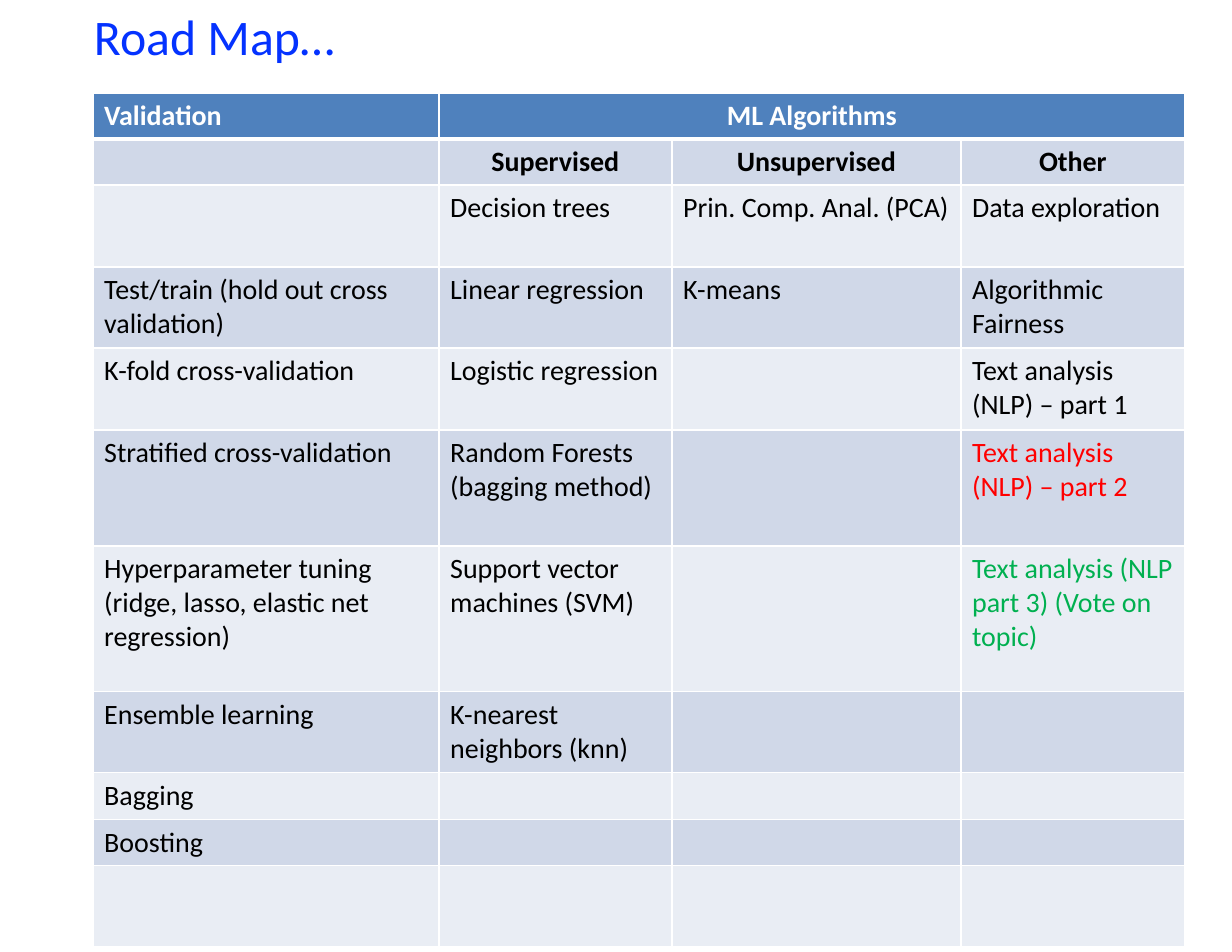
import pptx
import pptx.util
import pptx.dml.color
import pptx.enum.text
import pptx.oxml
import pptx.oxml.ns

PX = 914400 // 112
FONT = "Calibri"
HEADER, DARK, LIGHT = "4F81BD", "D0D8E8", "E9EDF4"
WHITE, BLACK, RED, GREEN, BLUE = "FFFFFF", "000000", "FF0000", "00B050", "0432FF"

COLUMN_WIDTHS = [346, 233, 289, 224]
ROW_HEIGHTS = [46, 46, 82, 81, 82, 116, 146, 81, 47, 46, 81]
ROWS = [
    ["Validation", "ML Algorithms", "", ""],
    ["", "Supervised", "Unsupervised", "Other"],
    ["", "Decision trees", "Prin. Comp. Anal. (PCA)", "Data exploration"],
    ["Test/train (hold out cross validation)", "Linear regression", "K-means",
     "Algorithmic Fairness"],
    ["K-fold cross-validation", "Logistic regression", "",
     "Text analysis (NLP) – part 1"],
    ["Stratified cross-validation", "Random Forests (bagging method)", "",
     "Text analysis (NLP) – part 2"],
    ["Hyperparameter tuning (ridge, lasso, elastic net regression)",
     "Support vector machines (SVM)", "",
     "Text analysis (NLP part 3) (Vote on topic)"],
    ["Ensemble learning", "K-nearest neighbors (knn)", "", ""],
    ["Bagging", "", "", ""],
    ["Boosting", "", "", ""],
    ["", "", "", ""],
]
ACCENTS = {(5, 3): RED, (6, 3): GREEN}


def rgb(value):
    """Turn a hex string into a colour."""
    return pptx.dml.color.RGBColor.from_string(value)


def style_run(r, size, color, bold=False):
    """Set the font of a run."""
    r.font.name = FONT
    r.font.size = pptx.util.Pt(size)
    r.font.bold = bold
    r.font.color.rgb = rgb(color)


def set_borders(cell, bottom):
    """Draw white borders round a cell, with the given bottom width in points."""
    tc_pr = cell._tc.get_or_add_tcPr()
    for i, (side, width) in enumerate(zip("LRTB", (1, 1, 1, bottom))):
        tc_pr.insert(i, pptx.oxml.parse_xml(
            f'<a:ln{side} {pptx.oxml.ns.nsdecls("a")} w="{pptx.util.Pt(width)}">'
            f'<a:solidFill><a:srgbClr val="{WHITE}"/></a:solidFill></a:ln{side}>'))


def add_title(s, x, y, w, h):
    """Place the slide heading in its box."""
    tf = s.shapes.add_textbox(x * PX, y * PX, w * PX, h * PX).text_frame
    tf.word_wrap = True
    tf.margin_left = tf.margin_right = tf.margin_bottom = 0
    tf.margin_top = 2 * PX
    p = tf.paragraphs[0]
    p.text = "Road Map…"
    p.space_before = pptx.util.Pt(1.4)
    style_run(p.runs[0], 32, BLUE)


def fill_cell(cell, row, col, text):
    """Write and format one cell according to its place in the table."""
    set_borders(cell, 3 if row == 0 else 1)
    cell.fill.solid()
    cell.fill.fore_color.rgb = rgb(HEADER if row == 0 else DARK if row % 2 else LIGHT)
    p = cell.text_frame.paragraphs[0]
    p.text = text
    if row < 2 and col > 0:
        p.alignment = pptx.enum.text.PP_ALIGN.CENTER
    color = WHITE if row == 0 else ACCENTS.get((row, col), BLACK)
    for r in p.runs:
        style_run(r, 18, color, row < 2)


def add_road_map(s, x, y):
    """Place the course table with its top left corner at x, y."""
    table = s.shapes.add_table(
        len(ROWS), len(COLUMN_WIDTHS), x * PX, y * PX,
        sum(COLUMN_WIDTHS) * PX, sum(ROW_HEIGHTS) * PX).table
    for column, width in zip(table.columns, COLUMN_WIDTHS):
        column.width = width * PX
    for i, (height, texts) in enumerate(zip(ROW_HEIGHTS, ROWS)):
        table.rows[i].height = height * PX
        for j, text in enumerate(texts):
            fill_cell(table.cell(i, j), i, j, text)
    table.cell(0, 1).merge(table.cell(0, 3))


prs = pptx.Presentation()
prs.slide_width = 1232 * PX
prs.slide_height = 952 * PX
s = prs.slides.add_slide(prs.slide_layouts[6])
add_title(s, 94, 4, 741, 64)
add_road_map(s, 93, 93)
prs.save("out.pptx")
